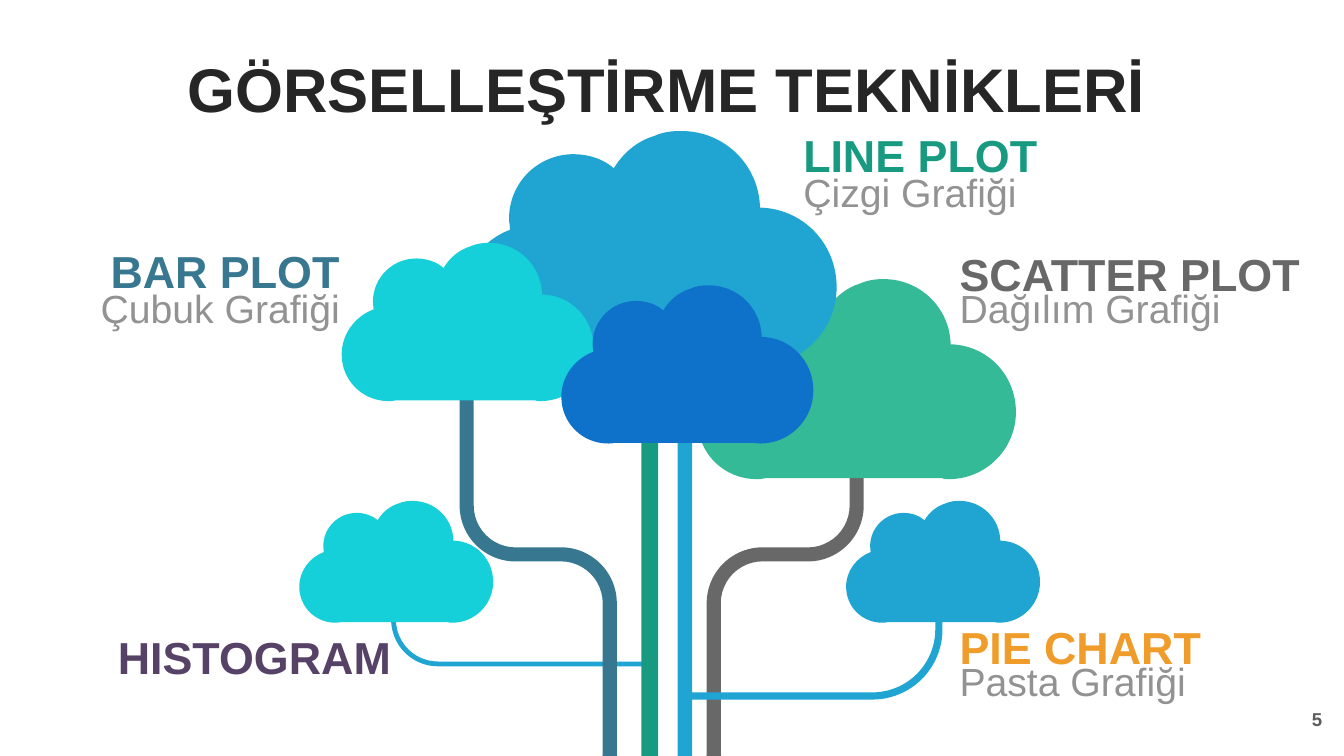
from lxml import etree
from pptx import Presentation
from pptx.dml.color import RGBColor
from pptx.enum import shapes as s, text as t
from pptx.oxml.ns import qn
from pptx.util import Pt

WHITE = RGBColor(0xFF, 0xFF, 0xFF)
SKY = RGBColor(0x20, 0xA5, 0xD3)
TURQUOISE = RGBColor(0x15, 0xCF, 0xD9)
BLUE = RGBColor(0x0E, 0x71, 0xCA)
MINT = RGBColor(0x34, 0xBA, 0x97)
GREEN = RGBColor(0x18, 0x9A, 0x80)
STEEL = RGBColor(0x37, 0x77, 0x90)
GRAY = RGBColor(0x68, 0x68, 0x68)
PURPLE = RGBColor(0x56, 0x42, 0x66)
ORANGE = RGBColor(0xF0, 0x9C, 0x2A)
LIGHT_GRAY = RGBColor(0x92, 0x92, 0x92)
NUMBER_GRAY = RGBColor(0x5C, 0x5C, 0x5C)
INK = RGBColor(0x26, 0x26, 0x26)
FONT = "Arial"
LEFT, CENTER, RIGHT = t.PP_ALIGN.LEFT, t.PP_ALIGN.CENTER, t.PP_ALIGN.RIGHT
BEND, TRUNK = s.MSO_SHAPE.BENT_ARROW, s.MSO_SHAPE.UP_ARROW

# Cloud outline: cubic curves (control, control, end) on a base 371 wide
CLOUD_WIDTH = 371
CLOUD_START = (150, 37)
CLOUD_CURVES = [
    ((140, 28), (125, 23), (110, 23)),
    ((75, 23), (46, 51), (46, 87)),
    ((46, 90), (47, 95), (47, 98)),
    ((20, 108), (0, 134), (0, 164)),
    ((0, 203), (31, 233), (69, 233)),
    ((72, 233), (75, 233), (79, 232)),
    ((79, 232), (285, 232), (285, 232)),
    ((287, 233), (289, 233), (293, 233)),
    ((336, 233), (371, 198), (371, 155)),
    ((371, 111), (337, 77), (295, 76)),
    ((294, 34), (260, 0), (217, 0)),
    ((207, 0), (199, 1), (190, 5)),
    ((173, 10), (159, 22), (150, 37)),
]

prs = Presentation()
prs.slide_width, prs.slide_height = Pt(960), Pt(540)
slide = prs.slides.add_slide(prs.slide_layouts[5])
slide.background.fill.solid()
slide.background.fill.fore_color.rgb = WHITE


def add_cloud(left, top, width, color):
    builder = slide.shapes.build_freeform(*CLOUD_START, scale=Pt(width) / CLOUD_WIDTH)
    builder.add_line_segments([curve[-1] for curve in CLOUD_CURVES], close=True)
    cloud = builder.convert_to_shape(Pt(left), Pt(top))
    # Turn each straight segment into its cubic curve
    segments = list(cloud._element.iter(qn("a:lnTo")))
    for segment, curve in zip(segments, CLOUD_CURVES):
        bezier = etree.Element(qn("a:cubicBezTo"))
        for x, y in curve:
            etree.SubElement(bezier, qn("a:pt"), x=str(x), y=str(y))
        segment.getparent().replace(segment, bezier)
    cloud.shadow.inherit = False
    cloud.fill.solid()
    cloud.fill.fore_color.rgb = color
    cloud.line.fill.background()


def add_stem(kind, box, color, adjustments, rotation=0, flip=False):
    stem = slide.shapes.add_shape(kind, *map(Pt, box))
    for index, value in enumerate(adjustments):
        stem.adjustments[index] = value
    stem.rotation = rotation
    if flip:
        stem._element.spPr.xfrm.set("flipH", "1")
    stem.shadow.inherit = False
    stem.fill.solid()
    stem.fill.fore_color.rgb = color
    stem.line.fill.background()


# Tree, from back to front
THICK_BEND = (0.177, 0.102, 0, 0.703)
THIN_BEND = (0.177, 0.036, 0, 0.703)
STRAIGHT = (0.535, 0)

add_stem(BEND, (279.4, 428.4, 180, 47.5), SKY, THIN_BEND, 180, True)
add_stem(BEND, (514.8, 298.1, 149, 56.9), GRAY, THICK_BEND, 90, True)
add_stem(BEND, (457.9, 437, 149, 56.9), GRAY, THICK_BEND, 270, True)
add_cloud(498.2, 199.4, 227.5, MINT)
add_stem(TRUNK, (452.9, 175.7, 22.3, 364.3), GREEN, STRAIGHT)
add_cloud(330.5, 93.6, 267.1, SKY)
add_stem(TRUNK, (479.5, 285.8, 19.4, 254.2), SKY, STRAIGHT)
add_stem(BEND, (281.5, 298.1, 149, 56.9), STEEL, THICK_BEND, 270)
add_stem(BEND, (338.4, 437, 149, 56.9), STEEL, THICK_BEND, 90)
add_stem(BEND, (493.2, 428.4, 180, 71.3), SKY, THIN_BEND, 180)
add_cloud(244.1, 173.5, 180, TURQUOISE)
add_cloud(401, 203.8, 180, BLUE)
add_cloud(213.8, 357.8, 138.5, TURQUOISE)
add_cloud(604.4, 357.8, 138.5, SKY)

# Labels: text, left, top, width, height, alignment, size, bold, color
labels = [
    ("SCATTER PLOT", 685.4, 175.7, 245.5, 38.9, LEFT, 32, True, GRAY),
    ("Dağılım Grafiği", 685.4, 203, 195.8, 33.8, LEFT, 28, False, LIGHT_GRAY),
    ("HISTOGRAM", 82.8, 449.3, 196.6, 38.9, RIGHT, 32, True, PURPLE),
    ("PIE CHART", 685.4, 442.1, 174.2, 38.9, LEFT, 32, True, ORANGE),
    ("Pasta Grafiği", 685.4, 469.4, 172.1, 33.8, LEFT, 28, False, LIGHT_GRAY),
    ("BAR PLOT", 77.8, 174.2, 164.9, 38.9, RIGHT, 32, True, STEEL),
    ("Çubuk Grafiği", 64.1, 203, 178.6, 33.8, RIGHT, 28, False, LIGHT_GRAY),
    ("LINE PLOT", 573.8, 90.7, 168.5, 38.9, LEFT, 32, True, GREEN),
    ("Çizgi Grafiği", 573.8, 120.2, 172.1, 33.8, LEFT, 28, False, LIGHT_GRAY),
    ("5", 916.6, 499, 48.2, 28.8, CENTER, 13.3, True, NUMBER_GRAY),
]
for words, left, top, width, height, align, size, bold, color in labels:
    label = slide.shapes.add_textbox(Pt(left), Pt(top), Pt(width), Pt(height))
    frame = label.text_frame
    frame.text = words
    frame.vertical_anchor = t.MSO_ANCHOR.MIDDLE
    frame.margin_left = frame.margin_right = frame.margin_top = frame.margin_bottom = 0
    frame.word_wrap = not bold
    line = frame.paragraphs[0]
    line.alignment = align
    if size > 20:
        frame.auto_size = t.MSO_AUTO_SIZE.SHAPE_TO_FIT_TEXT
        line.space_before = Pt(0.2 * size)
    font = line.runs[0].font
    font.name, font.size, font.bold = FONT, Pt(size), bold
    font.color.rgb = color

# Title
title = slide.shapes.title
title.left, title.top, title.width, title.height = Pt(108.7), Pt(28.1), Pt(735.8), Pt(54.7)
heading = title.text_frame
heading.text = "GÖRSELLEŞTİRME TEKNİKLERİ"
heading.auto_size = t.MSO_AUTO_SIZE.NONE
heading.vertical_anchor = t.MSO_ANCHOR.TOP
heading.margin_top = Pt(8)
heading.margin_bottom = 0
heading.paragraphs[0].alignment = CENTER
font = heading.paragraphs[0].runs[0].font
font.name, font.size, font.bold = FONT, Pt(44), True
font.color.rgb = INK

prs.save("out.pptx")
